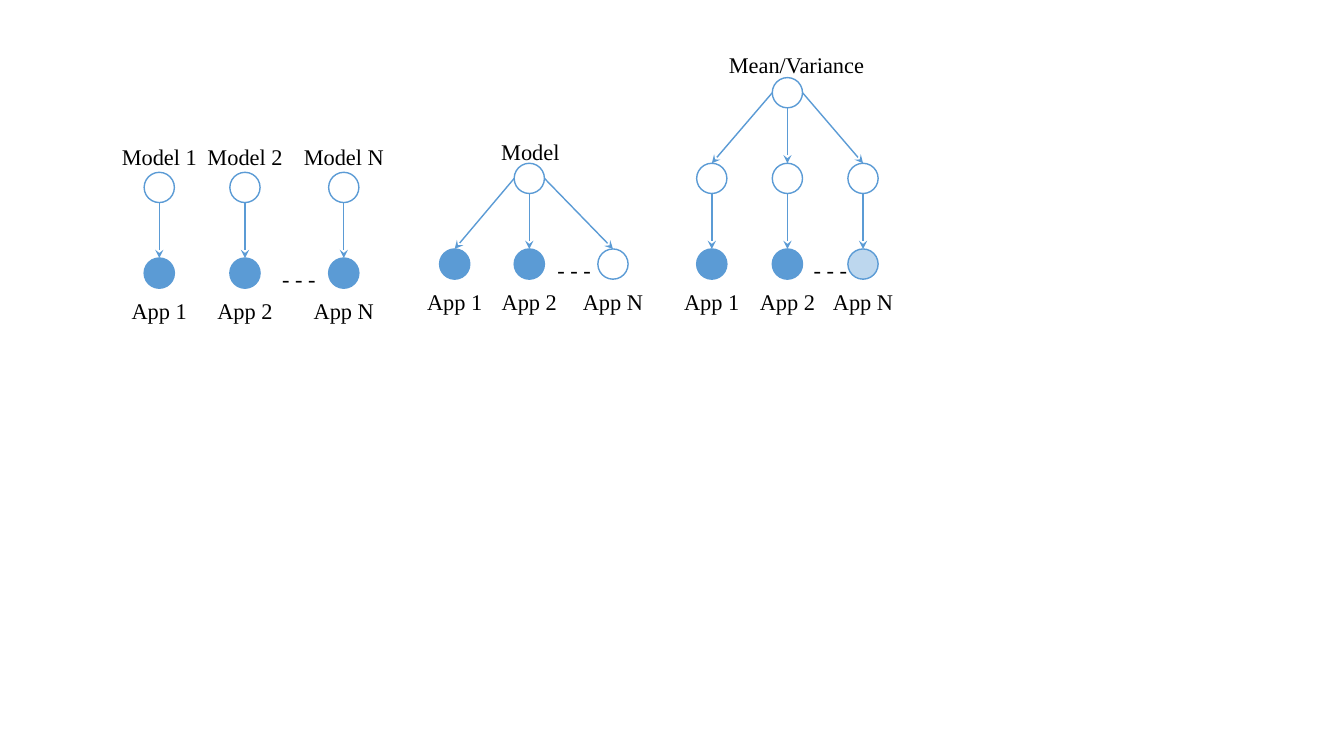
from dataclasses import dataclass
from typing import Optional

from lxml.etree import SubElement
from pptx import Presentation
from pptx.dml.color import RGBColor
from pptx.enum.shapes import MSO_CONNECTOR, MSO_SHAPE
from pptx.enum.text import MSO_AUTO_SIZE, PP_ALIGN
from pptx.oxml.ns import qn
from pptx.shapes.group import GroupShape
from pptx.util import Inches, Pt

BLUE, LIGHT_BLUE, WHITE, BLACK = "5B9BD5", "BDD7EE", "FFFFFF", "000000"
FONT = "Times New Roman"
RADIUS = 0.15
ROW_GAP = 0.85
LABEL_HEIGHT = 0.37
APP_NAMES = ("App 1", "App 2", "App N")


@dataclass(frozen=True)
class Label:
    text: str
    center: float
    top: float
    width: float = 1.05


@dataclass(frozen=True)
class Diagram:
    columns: tuple[float, float, float]
    app_row: float
    last_app_fill: Optional[str]
    dashes_left: float
    headings: tuple[Label, ...]
    model_per_app: bool = False
    root_row: Optional[float] = None


DIAGRAMS = (
    Diagram(
        columns=(1.58, 2.43, 3.41), app_row=2.71, last_app_fill=BLUE, dashes_left=2.7,
        headings=(Label("Model 1", 1.58, 1.37), Label("Model 2", 2.43, 1.37),
                  Label("Model N", 3.41, 1.37)),
        model_per_app=True,
    ),
    Diagram(
        columns=(4.51, 5.25, 6.08), app_row=2.62, last_app_fill=None, dashes_left=5.43,
        headings=(Label("Model", 5.26, 1.32),),
        root_row=1.77,
    ),
    Diagram(
        columns=(7.06, 7.81, 8.56), app_row=2.62, last_app_fill=LIGHT_BLUE, dashes_left=7.97,
        headings=(Label("Mean/Variance", 7.9, 0.46, 1.61),),
        model_per_app=True, root_row=0.92,
    ),
)


def rgb(color: str) -> RGBColor:
    return RGBColor.from_string(color)


def add_circle(group: GroupShape, x: float, y: float, fill: Optional[str]) -> None:
    """Draw a node centred on (x, y); a fill of None leaves it hollow."""
    circle = group.shapes.add_shape(
        MSO_SHAPE.OVAL, Inches(x - RADIUS), Inches(y - RADIUS),
        Inches(2 * RADIUS), Inches(2 * RADIUS))
    circle.shadow.inherit = False
    if fill is None:
        circle.fill.background()
    else:
        circle.fill.solid()
        circle.fill.fore_color.rgb = rgb(fill)
    circle.line.color.rgb = rgb(BLUE)
    circle.line.width = Pt(1)


def add_arrow(group: GroupShape, x1: float, y1: float, x2: float, y2: float) -> None:
    arrow = group.shapes.add_connector(
        MSO_CONNECTOR.STRAIGHT, Inches(x1), Inches(y1), Inches(x2), Inches(y2))
    arrow.line.color.rgb = rgb(BLUE)
    arrow.line.width = Pt(1)
    SubElement(arrow.line._get_or_add_ln(), qn("a:tailEnd"), type="stealth")
    SubElement(arrow._element.spPr, qn("a:effectLst"))


def add_label(group: GroupShape, label: Label, alignment: PP_ALIGN = PP_ALIGN.CENTER) -> None:
    box = group.shapes.add_textbox(
        Inches(label.center - label.width / 2), Inches(label.top),
        Inches(label.width), Inches(LABEL_HEIGHT))
    text_frame = box.text_frame
    text_frame.word_wrap = True
    text_frame.auto_size = MSO_AUTO_SIZE.SHAPE_TO_FIT_TEXT
    text_frame.text = label.text
    paragraph = text_frame.paragraphs[0]
    paragraph.alignment = alignment
    font = paragraph.runs[0].font
    font.name = FONT
    font.size = Pt(16)
    font.color.rgb = rgb(BLACK)


def add_root(group: GroupShape, columns: tuple[float, float, float], row: float) -> None:
    """Draw the shared node above the middle column and its arrows to the next row."""
    middle = columns[1]
    for side, column in zip((-1, 0, 1), columns):
        start_y = row if side else row + RADIUS
        add_arrow(group, middle + side * RADIUS, start_y, column, row + ROW_GAP - RADIUS)
    add_circle(group, middle, row, WHITE)


def draw_diagram(group: GroupShape, diagram: Diagram) -> None:
    app_row = diagram.app_row
    if diagram.root_row is not None:
        add_root(group, diagram.columns, diagram.root_row)
    app_fills = (BLUE, BLUE, diagram.last_app_fill)
    for column, name, fill in zip(diagram.columns, APP_NAMES, app_fills):
        if diagram.model_per_app:
            model_row = app_row - ROW_GAP
            add_circle(group, column, model_row, WHITE)
            add_arrow(group, column, model_row + RADIUS, column, app_row - RADIUS)
        add_circle(group, column, app_row, fill)
        add_label(group, Label(name, column, app_row + 0.19, 0.9))
    for heading in diagram.headings:
        add_label(group, heading)
    dashes = Label("- - -", diagram.dashes_left + 1.05 / 2, app_row - 0.13)
    add_label(group, dashes, PP_ALIGN.LEFT)


def main() -> None:
    presentation = Presentation()
    presentation.slide_width = Inches(13.33)
    presentation.slide_height = Inches(7.5)
    slide = presentation.slides.add_slide(presentation.slide_layouts[6])
    for diagram in DIAGRAMS:
        draw_diagram(slide.shapes.add_group_shape(), diagram)
    presentation.save("out.pptx")


if __name__ == "__main__":
    main()
